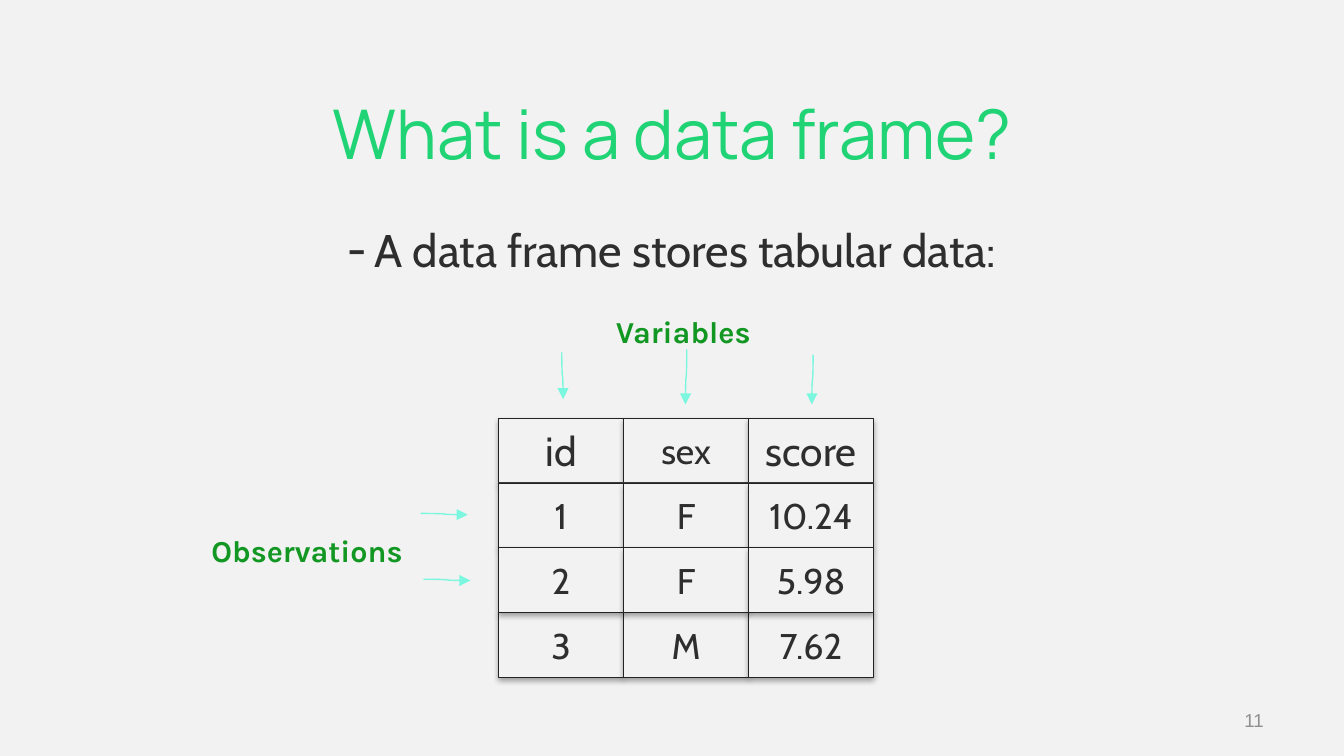
"""Build the slide that explains what a data frame is."""
from lxml.etree import SubElement
from pptx import Presentation
from pptx.dml.color import RGBColor
from pptx.enum.shapes import MSO_CONNECTOR, MSO_SHAPE
from pptx.enum.text import MSO_ANCHOR, PP_ALIGN
from pptx.oxml.ns import qn
from pptx.util import Inches, Pt

COLORS = {
    "background": "F2F2F2",
    "title": "20D375",
    "body": "2E2E2E",
    "label": "139723",
    "arrow": "7BF7DF",
    "border": "242223",
    "page": "8F8F8F",
    "shadow": "000000",
}

TITLE = "What is a data frame?"
STATEMENT = "A data frame stores tabular data:"
PAGE_NUMBER = "11"
LABELS = [
    ("Variables", (3.7, 2.28, 2.77, 0.38)),
    ("Observations", (1.44, 3.91, 1.69, 0.65)),
]
FRAME_ROWS = [
    ("id", "sex", "score"),
    ("1", "F", "10.24"),
    ("2", "F", "5.98"),
    ("3", "M", "7.62"),
]
LARGE_HEADINGS = ("id", "score")
DRAW_ORDER = (0, 1, 3, 2)
SLIDE_WIDTH = 10
SLIDE_HEIGHT = SLIDE_WIDTH * 9 / 16
FRAME_LEFT, FRAME_TOP = 3.71, 3.11
CELL_WIDTH = 0.93
CELL_HEIGHT = 1.93 / len(FRAME_ROWS)
VARIABLE_ARROWS = [
    ((4.18, 2.62), (4.19, 2.97)),
    ((5.11, 2.6), (5.1, 3.01)),
    ((6.05, 2.64), (6.04, 3.01)),
]
OBSERVATION_ARROWS = [
    ((3.13, 3.82), (3.48, 3.83)),
    ((3.15, 4.31), (3.5, 4.32)),
]


def rgb(name):
    return RGBColor.from_string(COLORS[name])


def style(paragraph, size, font, color, align=PP_ALIGN.CENTER, bold=False):
    paragraph.alignment = align
    paragraph.font.size = Pt(size)
    paragraph.font.name = font
    paragraph.font.bold = bold
    paragraph.font.color.rgb = rgb(color)


def set_margins(frame, across, down):
    frame.margin_left = frame.margin_right = Inches(across)
    frame.margin_top = frame.margin_bottom = Inches(down)


def add_text(slide, text, box, anchor=MSO_ANCHOR.TOP):
    frame = slide.shapes.add_textbox(*map(Inches, box)).text_frame
    frame.word_wrap = True
    frame.vertical_anchor = anchor
    frame.text = text
    return frame


def add_dash(paragraph):
    properties = paragraph._p.get_or_add_pPr()
    properties.set("marL", str(Inches(0.2)))
    properties.set("indent", str(Inches(-0.2)))
    bullet_color = SubElement(properties, qn("a:buClr"))
    SubElement(bullet_color, qn("a:srgbClr"), val=COLORS["body"])
    SubElement(properties, qn("a:buFont"), typeface="Cabin")
    SubElement(properties, qn("a:buChar"), char="-")


def add_shadow(shape):
    shape.shadow.inherit = False
    effects = shape._element.spPr.find(qn("a:effectLst"))
    shadow = SubElement(effects, qn("a:outerShdw"), blurRad=str(Pt(3.1)),
                        dist=str(Pt(1.8)), dir="5400000", rotWithShape="0")
    color = SubElement(shadow, qn("a:srgbClr"), val=COLORS["shadow"])
    SubElement(color, qn("a:alpha"), val="35000")


def add_cell(slide, text, row, column):
    cell = slide.shapes.add_shape(
        MSO_SHAPE.RECTANGLE,
        Inches(FRAME_LEFT + column * CELL_WIDTH),
        Inches(FRAME_TOP + row * CELL_HEIGHT),
        Inches(CELL_WIDTH), Inches(CELL_HEIGHT))
    cell.fill.solid()
    cell.fill.fore_color.rgb = rgb("background")
    cell.line.color.rgb = rgb("border")
    cell.line.width = Pt(0.25)
    add_shadow(cell)
    frame = cell.text_frame
    frame.word_wrap = True
    frame.vertical_anchor = MSO_ANCHOR.MIDDLE
    set_margins(frame, 0.07, 0.03)
    frame.text = text
    size = 21.8 if text in LARGE_HEADINGS else 19.1
    style(frame.paragraphs[0], size, "Cabin", "body")


def add_arrow(slide, start, end, downward=False):
    (x1, y1), (x2, y2) = start, end
    if downward:
        middle_x, middle_y = (x1 + x2) / 2, (y1 + y2) / 2
        reach, drift = (y2 - y1) / 2, (x2 - x1) / 2
        x1, x2 = middle_x - reach, middle_x + reach
        y1, y2 = middle_y + drift, middle_y - drift
    arrow = slide.shapes.add_connector(
        MSO_CONNECTOR.CURVE, *map(Inches, (x1, y1, x2, y2)))
    arrow.line.color.rgb = rgb("arrow")
    arrow.line.width = Pt(0.75)
    properties = arrow._element.spPr
    if downward:
        properties.find(qn("a:xfrm")).set("rot", "5400000")
    SubElement(properties.find(qn("a:ln")), qn("a:tailEnd"), type="triangle")
    SubElement(properties, qn("a:effectLst"))


def main():
    deck = Presentation()
    deck.slide_width, deck.slide_height = Inches(SLIDE_WIDTH), Inches(SLIDE_HEIGHT)
    slide = deck.slides.add_slide(deck.slide_layouts[6])
    slide.background.fill.solid()
    slide.background.fill.fore_color.rgb = rgb("background")

    title = add_text(slide, TITLE, (1.52, 0.83, 6.96, 0.54), MSO_ANCHOR.BOTTOM)
    set_margins(title, 0.08, 0.08)
    style(title.paragraphs[0], 36.7, "Manrope", "title")

    statement = add_text(slide, STATEMENT, (1.2, 1.52, 7.6, 3.7)).paragraphs[0]
    add_dash(statement)
    statement.line_spacing = 1.2
    statement.space_after = Pt(4)
    style(statement, 24.5, "Cabin", "body")

    page = add_text(slide, PAGE_NUMBER, (8.49, 5.21, 1.01, 0.3), MSO_ANCHOR.MIDDLE)
    style(page.paragraphs[0], 10, "Arial", "page", PP_ALIGN.RIGHT)

    for row in DRAW_ORDER:
        for column, text in enumerate(FRAME_ROWS[row]):
            add_cell(slide, text, row, column)

    for text, box in LABELS:
        label = add_text(slide, text, box)
        style(label.paragraphs[0], 16.3, "Karla", "label", bold=True)

    for start, end in VARIABLE_ARROWS:
        add_arrow(slide, start, end, downward=True)
    for start, end in OBSERVATION_ARROWS:
        add_arrow(slide, start, end)

    deck.save("out.pptx")


if __name__ == "__main__":
    main()
